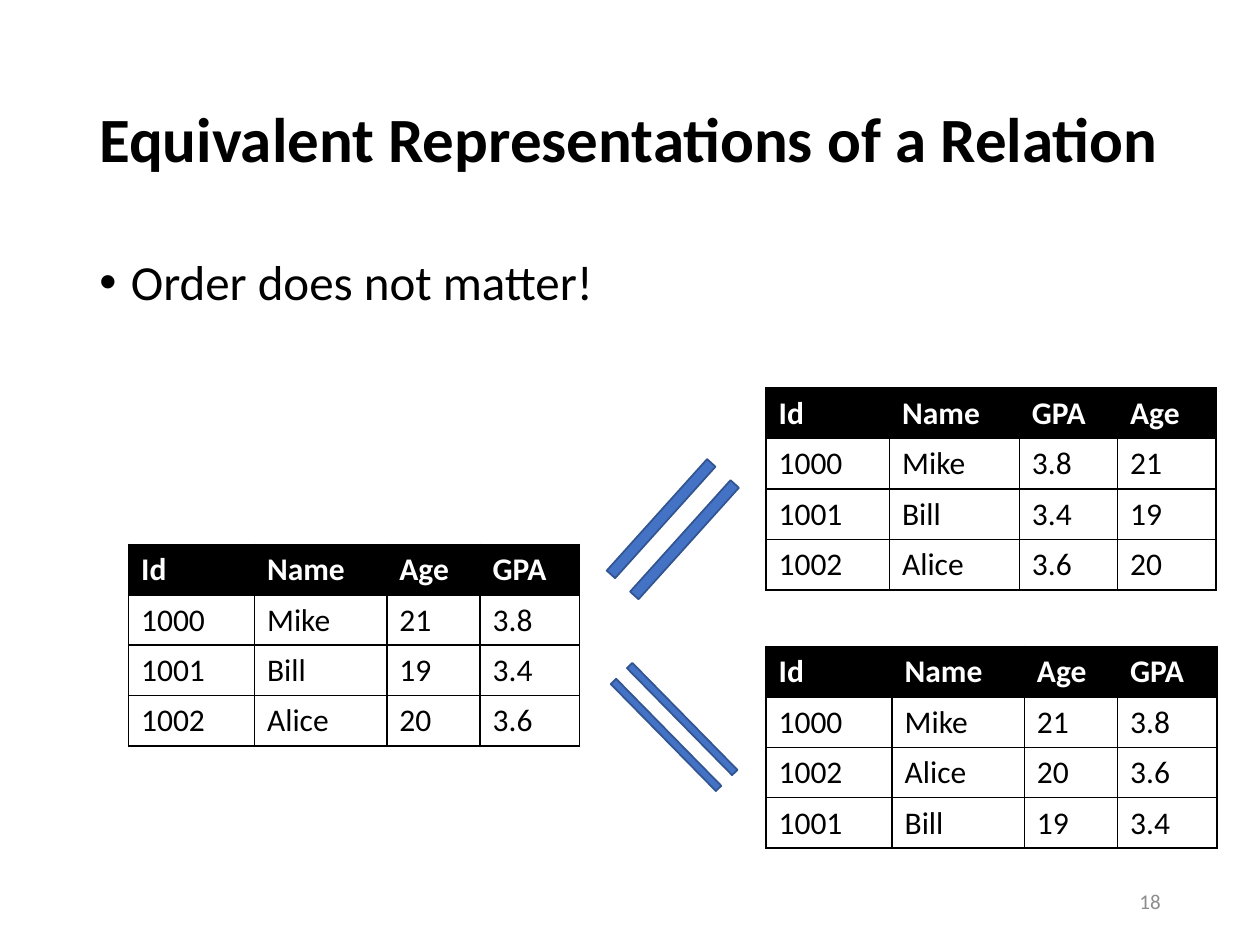
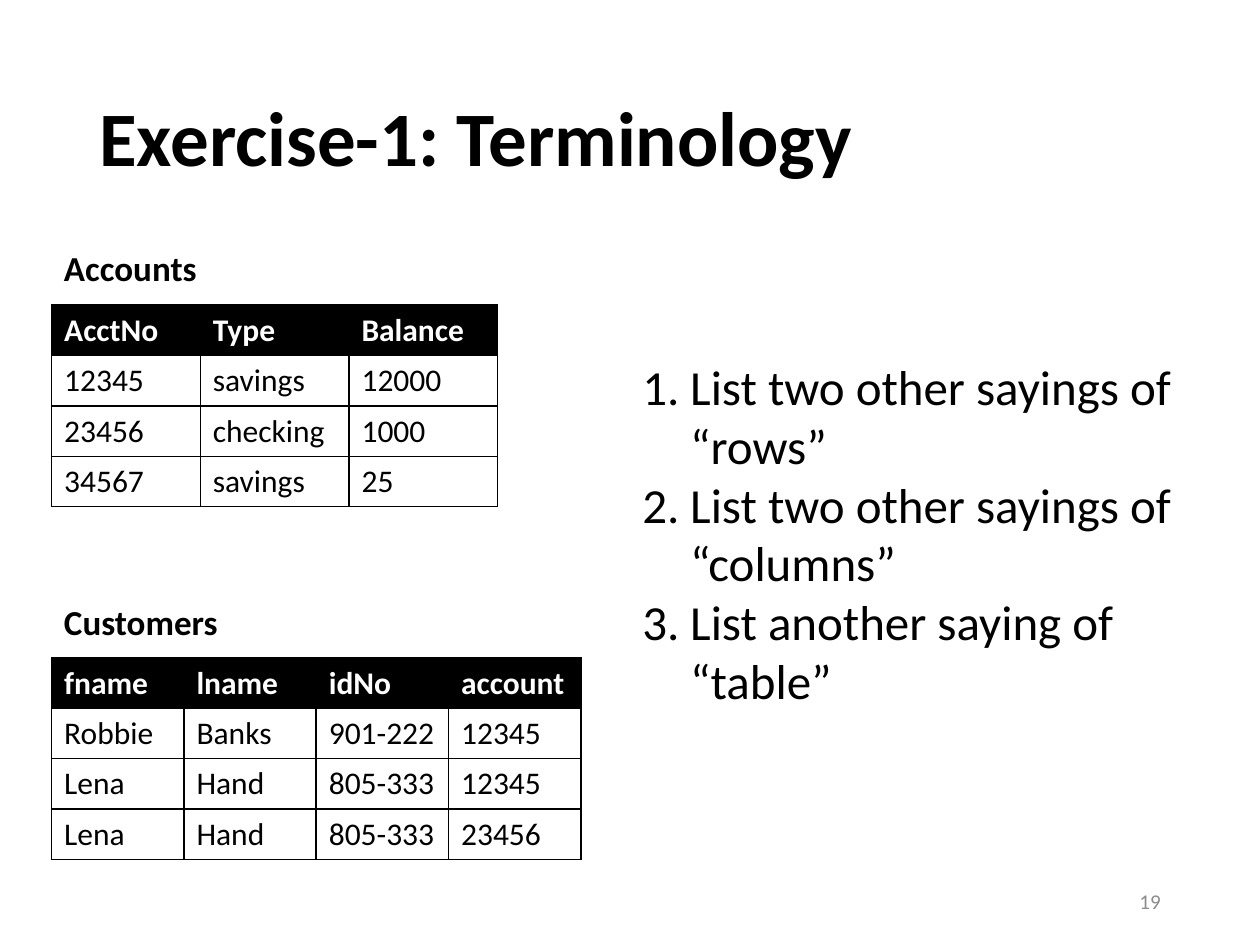
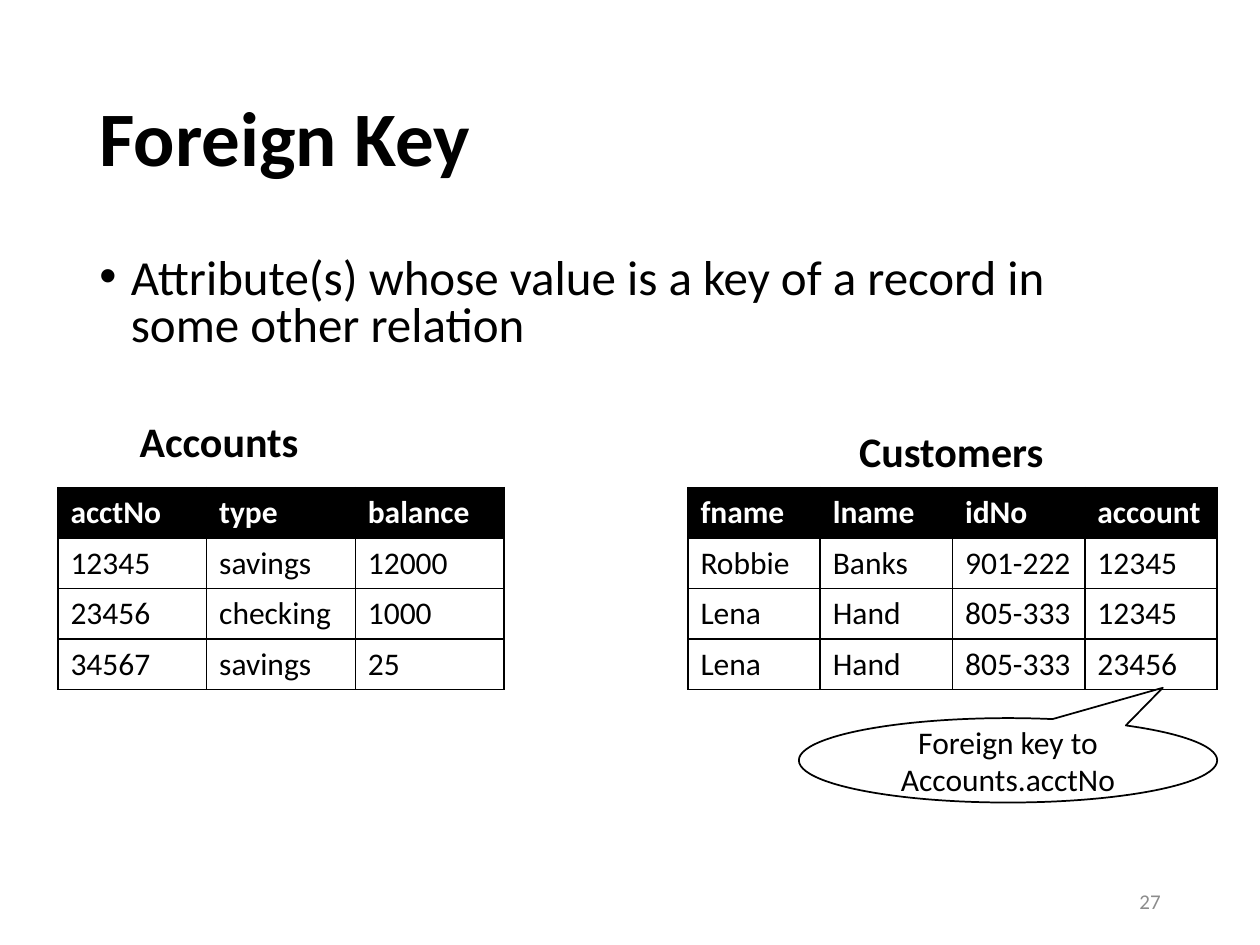
from dataclasses import dataclass

from lxml import etree
from pptx import Presentation, util as u
from pptx.dml.color import RGBColor
from pptx.enum import shapes, text
from pptx.oxml.ns import qn

# Shared look
FONT = "Calibri"
COLORS = {
    "ink": "000000",
    "paper": "FFFFFF",
    "gray": "8C8C8C",
    "blue": "4472C4",
    "navy": "325491",
}
LEFT, WIDE = 0.69, 8.62
ROW = 0.4


@dataclass
class Style:
    size: int
    color: str = "ink"
    bold: bool = False


@dataclass
class Box:
    left: float
    top: float
    width: float
    height: float

    def span(self) -> list:
        return [u.Inches(n) for n in (self.left, self.top, self.width, self.height)]


@dataclass
class Para:
    words: str
    style: Style
    align: text.PP_ALIGN = text.PP_ALIGN.LEFT
    line: float = 1.0
    before: int = 0
    mark: str = ""
    indent: float = 0


@dataclass
class Grid:
    left: float
    top: float
    cols: list[float]
    rows: list[list[str]]


@dataclass
class Equal:
    box: Box
    angle: float
    bar: float
    gap: float


HEAD = Style(18, "paper", True)
BODY = Style(18)
LARGE = Style(28)


def rgb(name: str) -> RGBColor:
    return RGBColor.from_string(COLORS[name])


# Text
def add_run(para, words: str, style: Style) -> None:
    run = para.add_run()
    run.text = words
    run.font.name = FONT
    run.font.size = u.Pt(style.size)
    run.font.bold = style.bold
    run.font.color.rgb = rgb(style.color)


def add_mark(para, mark: str, indent: float) -> None:
    props = para._p.get_or_add_pPr()
    props.set("marL", str(u.Inches(indent)))
    props.set("indent", str(u.Inches(-indent)))
    if mark == "1.":
        etree.SubElement(props, qn("a:buFont"), typeface=FONT)
        etree.SubElement(props, qn("a:buAutoNum"), type="arabicPeriod")
    else:
        etree.SubElement(props, qn("a:buFont"), typeface="Arial")
        etree.SubElement(props, qn("a:buChar"), char=mark)


def fill_frame(frame, paras: list[Para]) -> None:
    for i, item in enumerate(paras):
        para = frame.add_paragraph() if i else frame.paragraphs[0]
        para.alignment = item.align
        para.line_spacing = item.line
        para.space_before = u.Pt(item.before)
        if item.mark:
            add_mark(para, item.mark, item.indent)
        add_run(para, item.words, item.style)


def add_text(slide, box: Box, paras: list[Para], middle: bool = False,
             wrap: bool = True) -> None:
    frame = slide.shapes.add_textbox(*box.span()).text_frame
    frame.word_wrap = wrap
    if middle:
        frame.vertical_anchor = text.MSO_ANCHOR.MIDDLE
    fill_frame(frame, paras)


def add_label(slide, box: Box, words: str, size: int) -> None:
    add_text(slide, box, [Para(words, Style(size, bold=True))], wrap=False)


def add_point(slide, height: float, words: str, line: float) -> None:
    para = Para(words, LARGE, line=line, before=10, mark="•", indent=0.25)
    add_text(slide, Box(LEFT, 2, WIDE, height), [para])


# Tables
def add_edges(cell) -> None:
    props = cell._tc.get_or_add_tcPr()
    for side in ("lnL", "lnR", "lnT", "lnB"):
        edge = etree.SubElement(props, qn(f"a:{side}"), w=str(u.Pt(1)))
        solid = etree.SubElement(edge, qn("a:solidFill"))
        etree.SubElement(solid, qn("a:srgbClr"), val=COLORS["ink"])


def add_grid(slide, grid: Grid) -> None:
    count = len(grid.rows)
    box = Box(grid.left, grid.top, sum(grid.cols), ROW * count)
    table = slide.shapes.add_table(count, len(grid.cols), *box.span()).table
    table.horz_banding = False
    for col, width in zip(table.columns, grid.cols):
        col.width = u.Inches(width)
    for r, row in enumerate(grid.rows):
        for c, words in enumerate(row):
            cell = table.cell(r, c)
            add_edges(cell)
            cell.fill.solid()
            cell.fill.fore_color.rgb = rgb("paper" if r else "ink")
            fill_frame(cell.text_frame, [Para(words, BODY if r else HEAD)])


# Shapes
def add_shape(slide, kind, box: Box, fill: str, line: str, adjust: list[float]):
    shape = slide.shapes.add_shape(kind, *box.span())
    shape.shadow.inherit = False
    shape.fill.solid()
    shape.fill.fore_color.rgb = rgb(fill)
    shape.line.color.rgb = rgb(line)
    shape.line.width = u.Pt(1)
    for i, value in enumerate(adjust):
        shape.adjustments[i] = value
    return shape


def add_equal(slide, sign: Equal) -> None:
    shape = add_shape(slide, shapes.MSO_SHAPE.MATH_EQUAL, sign.box,
                      "blue", "navy", [sign.bar, sign.gap])
    shape.rotation = sign.angle


# Title and page number of every slide
def add_slide(deck, title: str, page: int, size: int = 44):
    slide = deck.slides.add_slide(deck.slide_layouts[6])
    add_text(slide, Box(LEFT, 0.4, WIDE, 1.45),
             [Para(title, Style(size, bold=True), line=0.9)], middle=True)
    add_text(slide, Box(7.06, 6.95, 2.25, 0.4),
             [Para(str(page), Style(12, "gray"), text.PP_ALIGN.RIGHT)], middle=True)
    return slide


# Table contents
PEOPLE = [
    ["Id", "Name", "Age", "GPA"],
    ["1000", "Mike", "21", "3.8"],
    ["1001", "Bill", "19", "3.4"],
    ["1002", "Alice", "20", "3.6"],
]
SWAPPED = [[key, name, gpa, age] for key, name, age, gpa in PEOPLE]
SORTED = [PEOPLE[i] for i in (0, 1, 3, 2)]
ACCOUNTS = [
    ["12345", "savings", "12000"],
    ["23456", "checking", "1000"],
    ["34567", "savings", "25"],
]
CLIENTS = [
    ["fname", "lname", "idNo", "account"],
    ["Robbie", "Banks", "901-222", "12345"],
    ["Lena", "Hand", "805-333", "12345"],
    ["Lena", "Hand", "805-333", "23456"],
]
PEOPLE_COLS = [1, 1.05, 0.74, 0.79]
ACCOUNT_COLS = [1.18] * 3
CLIENT_COLS = [1.05] * 4


def add_order(deck) -> None:
    slide = add_slide(deck, "Equivalent Representations of a Relation", 18, 36)
    add_point(slide, 4.76, "Order does not matter!", 0.9)
    for grid in (
        Grid(1.02, 4.32, PEOPLE_COLS, PEOPLE),
        Grid(6.08, 3.08, [0.98, 1.03, 0.78, 0.78], SWAPPED),
        Grid(6.08, 5.13, PEOPLE_COLS, SORTED),
    ):
        add_grid(slide, grid)
    add_equal(slide, Equal(Box(4.53, 3.7, 1.62, 1), 312, 0.09, 0.16))
    add_equal(slide, Equal(Box(4.54, 5.27, 1.62, 1), 45.5, 0.06, 0.12))


def add_terms(deck) -> None:
    slide = add_slide(deck, "Exercise-1: Terminology", 19)
    head = ["AcctNo", "Type", "Balance"]
    add_grid(slide, Grid(0.41, 2.42, ACCOUNT_COLS, [head, *ACCOUNTS]))
    add_label(slide, Box(0.41, 1.91, 1.26, 0.44), "Accounts", 20)
    add_grid(slide, Grid(0.41, 5.22, CLIENT_COLS, CLIENTS))
    add_label(slide, Box(0.41, 4.72, 1.43, 0.44), "Customers", 20)
    tasks = (
        "List two other sayings of “rows”",
        "List two other sayings of “columns”",
        "List another saying of “table”",
    )
    add_text(slide, Box(5, 2.78, 4.83, 3.4),
             [Para(task, LARGE, mark="1.", indent=0.38) for task in tasks])


def add_key(deck) -> None:
    slide = add_slide(deck, "Foreign Key", 27)
    head = ["acctNo", "type", "balance"]
    add_grid(slide, Grid(0.46, 3.87, ACCOUNT_COLS, [head, *ACCOUNTS]))
    add_grid(slide, Grid(5.46, 3.87, CLIENT_COLS, CLIENTS))
    add_label(slide, Box(1.01, 3.25, 1.48, 0.5), "Accounts", 24)
    add_label(slide, Box(6.72, 3.33, 1.68, 0.5), "Customers", 24)
    # Callout on the account column
    note = add_shape(slide, shapes.MSO_SHAPE.OVAL_CALLOUT,
                     Box(6.34, 5.7, 3.32, 0.67), "paper", "ink", [0.37, -0.86])
    note.text_frame.word_wrap = True
    note.text_frame.vertical_anchor = text.MSO_ANCHOR.MIDDLE
    fill_frame(note.text_frame, [
        Para("Foreign key to Accounts.acctNo", BODY, text.PP_ALIGN.CENTER)])
    add_point(slide, 0.93, "Attribute(s) whose value is a key of a record in "
              "some other relation", 0.8)


def main() -> None:
    deck = Presentation()
    deck.slide_width, deck.slide_height = u.Inches(10), u.Inches(7.5)
    add_order(deck)
    add_terms(deck)
    add_key(deck)
    deck.save("out.pptx")


if __name__ == "__main__":
    main()
